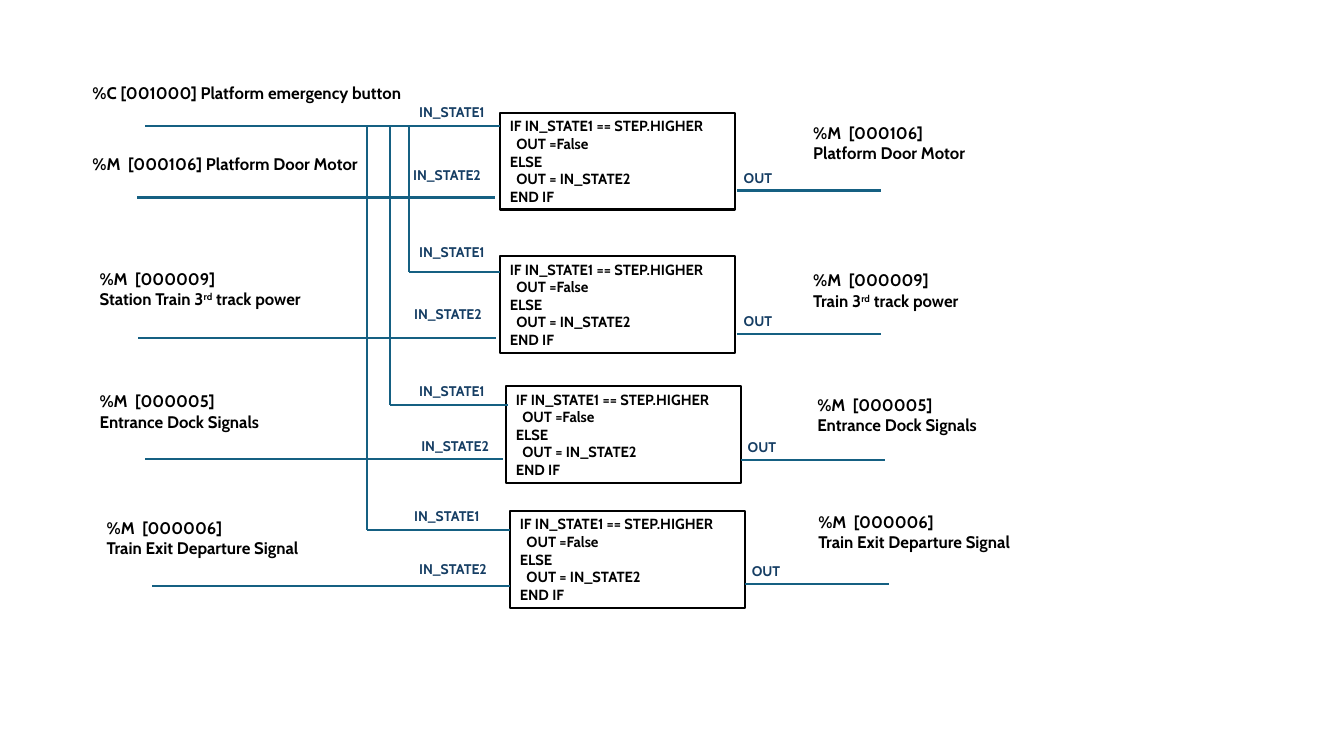
from dataclasses import dataclass

from lxml.etree import SubElement
from pptx import Presentation
from pptx.dml.color import RGBColor
from pptx.enum.shapes import MSO_CONNECTOR, MSO_SHAPE
from pptx.enum.text import MSO_ANCHOR, PP_ALIGN
from pptx.oxml.ns import qn
from pptx.util import Pt


@dataclass(frozen=True)
class Theme:
    font: str = "Cabin"
    ink: RGBColor = RGBColor(0x00, 0x00, 0x00)
    paper: RGBColor = RGBColor(0xFF, 0xFF, 0xFF)
    wire: RGBColor = RGBColor(0x15, 0x60, 0x82)
    pin: RGBColor = RGBColor(0x16, 0x3E, 0x64)
    signal_size: float = 12
    code_size: float = 10.5
    pin_size: float = 10
    stroke: float = 1.5


THEME = Theme()

LOGIC = (
    "IF IN_STATE1 == STEP.HIGHER",
    "  OUT =False",
    "ELSE",
    "  OUT = IN_STATE2",
    "END IF",
)
BOX_WIDTH, BOX_HEIGHT = 167.8, 69.1
INPUT_LENGTH, OUTPUT_LENGTH = 255.6, 103


@dataclass(frozen=True)
class Gate:
    """One logic block; every position is (left, top) in points."""
    box: tuple
    feed: tuple  # start x, end x, y of the IN_STATE1 wire
    state1: tuple
    state2: tuple
    input_wire: tuple
    output_wire: tuple
    source: tuple
    source_lines: tuple
    target: tuple
    target_lines: tuple


GATES = (
    Gate((357.1, 80.6), (103.7, 357.1, 90), (292.3, 70.6), (288, 115.2),
         (97.9, 141.1), (526.3, 136.1),
         (59, 106.6), ("%M  [000106] Platform Door Motor",),
         (573.8, 84.2), ("%M  [000106]", "Platform Door Motor")),
    Gate((357.1, 182.9), (292.3, 357.1, 194.4), (292.3, 170.6), (288.7, 214.6),
         (98.6, 241.2), (526.3, 238.3),
         (64.1, 188.6), ("%M  [000009]", "Station Train 3^rd^ track power"),
         (573.8, 189.4), ("%M  [000009]", "Train 3^rd^ track power")),
    Gate((361.4, 275.8), (278.3, 362.9, 289.4), (292.3, 270), (293.8, 308.9),
         (103.7, 327.6), (529.2, 328.3),
         (64.1, 275.8), ("%M  [000005]", "Entrance Dock Signals"),
         (576.7, 278.6), ("%M  [000005]", "Entrance Dock Signals")),
    Gate((364.3, 365), (262.1, 364.3, 378.7), (288.7, 359.3), (292.3, 396.7),
         (108.7, 418.3), (532.1, 416.9),
         (69.1, 366.5), ("%M  [000006]", "Train Exit Departure Signal"),
         (577.4, 362.2), ("%M  [000006]", "Train Exit Departure Signal")),
)


def write_lines(frame, lines, size, color):
    """Fill the frame, one paragraph a line; ^text^ is superscript."""
    frame.word_wrap = True
    style = {"name": THEME.font, "size": Pt(size), "bold": True}
    for index, line in enumerate(lines):
        paragraph = frame.add_paragraph() if index else frame.paragraphs[0]
        paragraph.alignment = PP_ALIGN.LEFT
        for position, part in enumerate(line.split("^")):
            run = paragraph.add_run()
            run.text = part
            for attribute, value in style.items():
                setattr(run.font, attribute, value)
            run.font.color.rgb = color
            if position % 2:
                run._r.get_or_add_rPr().set("baseline", "30000")


def add_label(slide, place, extent, lines, size, color):
    label = slide.shapes.add_textbox(*map(Pt, (*place, *extent)))
    write_lines(label.text_frame, lines, size, color)


def add_signal(slide, place, lines, width=221):
    height = 21.6 if len(lines) == 1 else 36
    add_label(slide, place, (width, height), lines, THEME.signal_size, THEME.ink)


def add_pin(slide, place, name, width=64.1):
    add_label(slide, place, (width, 19.4), (name,), THEME.pin_size, THEME.pin)


def add_wire(slide, start, end):
    wire = slide.shapes.add_connector(
        MSO_CONNECTOR.STRAIGHT, *map(Pt, (*start, *end)))
    wire.line.color.rgb = THEME.wire
    wire.line.width = Pt(THEME.stroke)
    SubElement(wire._element.spPr, qn("a:effectLst"))


def add_logic_box(slide, place):
    box = slide.shapes.add_shape(
        MSO_SHAPE.RECTANGLE, *map(Pt, (*place, BOX_WIDTH, BOX_HEIGHT)))
    box.shadow.inherit = False
    box.fill.solid()
    box.fill.fore_color.rgb = THEME.paper
    box.line.color.rgb = THEME.ink
    box.line.width = Pt(THEME.stroke)
    box.text_frame.vertical_anchor = MSO_ANCHOR.MIDDLE
    write_lines(box.text_frame, LOGIC, THEME.code_size, THEME.ink)


def add_gate(slide, gate):
    add_logic_box(slide, gate.box)

    feed_start, feed_end, feed_y = gate.feed
    add_wire(slide, (feed_start, feed_y), (feed_end, feed_y))
    input_x, input_y = gate.input_wire
    add_wire(slide, (input_x, input_y), (input_x + INPUT_LENGTH, input_y))
    output_x, output_y = gate.output_wire
    add_wire(slide, (output_x, output_y), (output_x + OUTPUT_LENGTH, output_y))

    add_pin(slide, gate.state1, "IN_STATE1")
    add_pin(slide, gate.state2, "IN_STATE2")
    add_pin(slide, (output_x - 2.2, output_y - 18.7), "OUT", width=36.7)
    add_signal(slide, gate.source, gate.source_lines)
    add_signal(slide, gate.target, gate.target_lines, width=168)


def main():
    deck = Presentation()
    deck.slide_width, deck.slide_height = Pt(960), Pt(540)
    slide = deck.slides.add_slide(deck.slide_layouts[6])

    add_signal(slide, (59, 55.4), ("%C [001000] Platform emergency button",), width=241)
    for gate in GATES:
        add_gate(slide, gate)

    # The emergency button wire branches down to every later gate.
    button_y = GATES[0].feed[2]
    for gate in GATES[1:]:
        branch_x, _, feed_y = gate.feed
        add_wire(slide, (branch_x, button_y), (branch_x, feed_y))

    deck.save("out.pptx")


if __name__ == "__main__":
    main()
